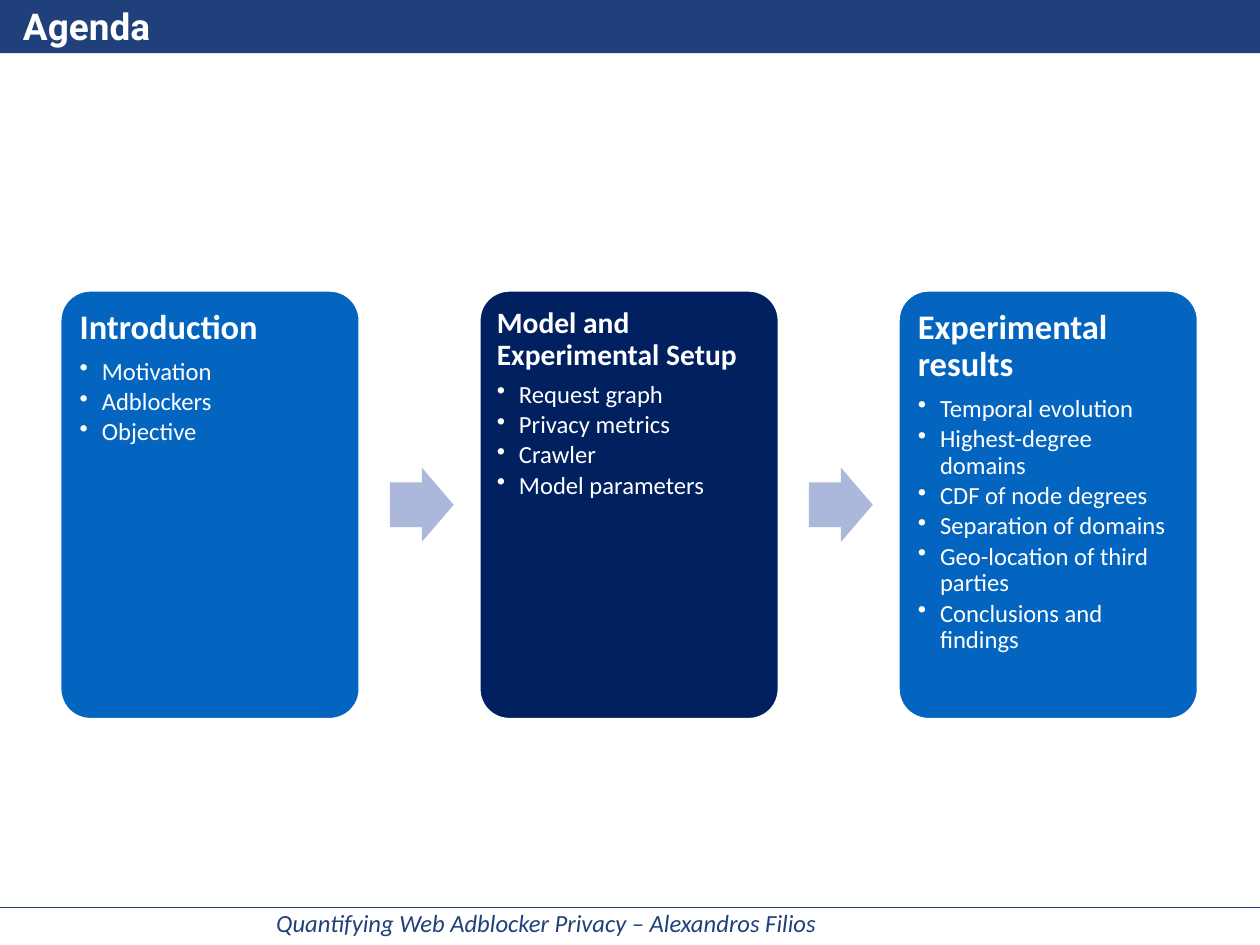
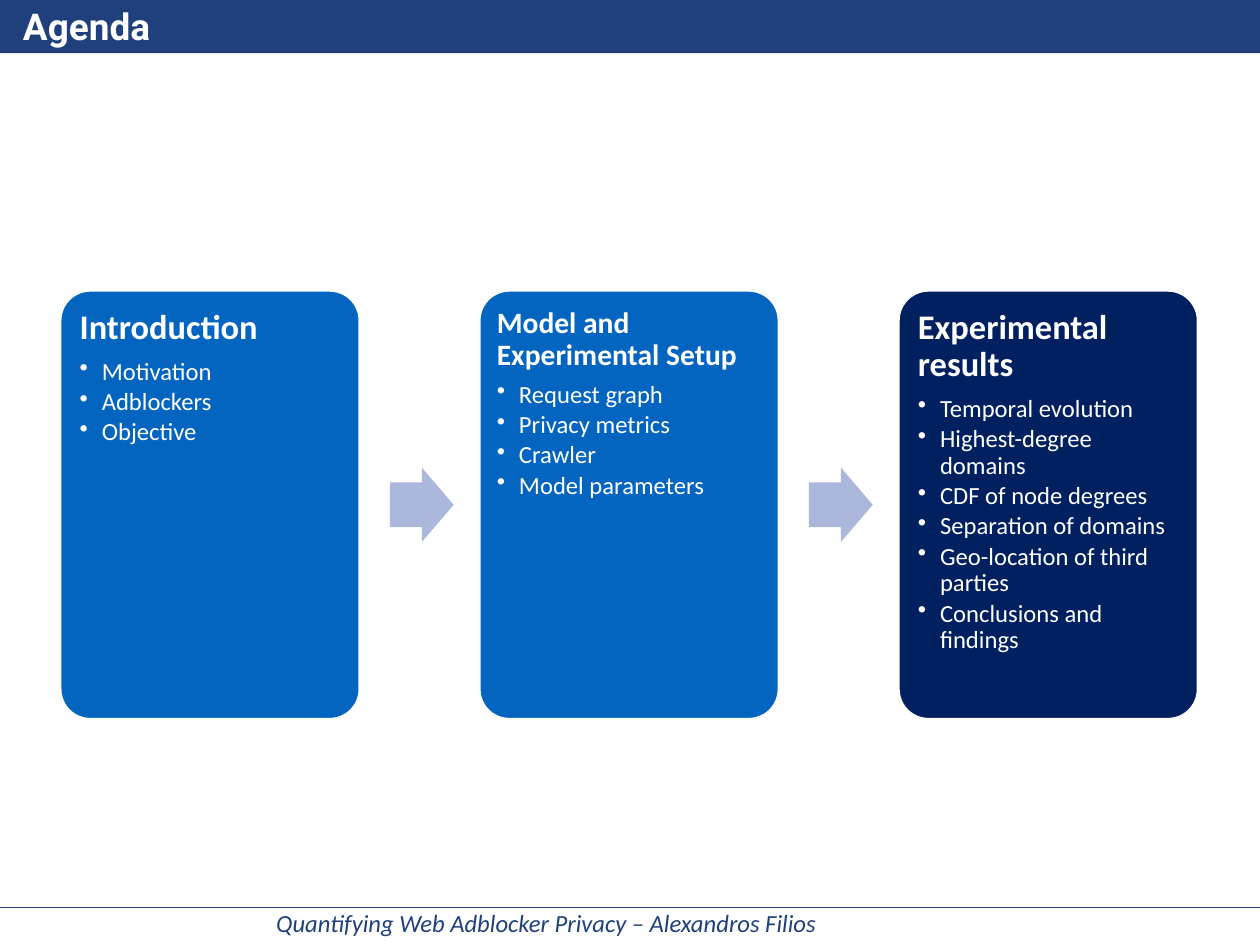
from dataclasses import dataclass

from lxml.etree import SubElement
from pptx import Presentation
from pptx.dml.color import RGBColor
from pptx.enum.shapes import MSO_CONNECTOR as Connector, MSO_SHAPE as Shape
from pptx.enum.text import MSO_ANCHOR as Anchor, PP_ALIGN as Align
from pptx.oxml.ns import qn
from pptx.util import Inches, Pt

WIDTH, HEIGHT = 14.22, 10.67
NAVY, BLUE, ACTIVE, ARROW, WHITE = "1F407A", "0365C0", "002060", "ABB8DC", "FFFFFF"
BODY_FONT, TITLE_FONT = "Calibri", "Roboto"
FOOTER = "Quantifying Web Adblocker Privacy – Alexandros Filios"

CARD_LEFT, CARD_TOP, CARD_W, CARD_H = 0.68, 3.28, 3.38, 4.84
PITCH = 4.73
ARROW_OFFSET, ARROW_W, ARROW_H = 3.72, 0.72, 0.84
BULLET_SIZE, BULLET_INDENT = 20, 0.25


@dataclass(frozen=True)
class Section:
    heading: str
    topics: tuple[str, ...]
    size: int = 28
    inset: float = 0.12


SECTIONS = (
    Section("Introduction", ("Motivation", "Adblockers", "Objective")),
    Section("Model and Experimental Setup",
            ("Request graph", "Privacy metrics", "Crawler", "Model parameters"),
            size=24, inset=0.1),
    Section("Experimental results",
            ("Temporal evolution", "Highest-degree domains", "CDF of node degrees",
             "Separation of domains", "Geo-location of third parties",
             "Conclusions and findings")),
)


def rgb(color: str) -> RGBColor:
    return RGBColor.from_string(color)


def style_font(p, font: str, size: float, color: str, bold=False, italic=False) -> None:
    for r in p.runs:
        r.font.name, r.font.size = font, Pt(size)
        r.font.bold, r.font.italic = bold, italic
        r.font.color.rgb = rgb(color)


def set_frame(tf, inset: float, anchor) -> None:
    tf.word_wrap = True
    tf.vertical_anchor = anchor
    tf.margin_left = tf.margin_right = tf.margin_top = tf.margin_bottom = Inches(inset)


def add_filled(s, kind, left: float, top: float, width: float, height: float, fill: str):
    sp = s.shapes.add_shape(kind, *map(Inches, (left, top, width, height)))
    sp.shadow.inherit = False
    sp.fill.solid()
    sp.fill.fore_color.rgb = rgb(fill)
    sp.line.fill.background()
    return sp


def add_label(s, left: float, top: float, width: float, height: float, text: str, align, **font):
    """Add one vertically centred line with the first-line indent of title and footer."""
    tf = s.shapes.add_textbox(*map(Inches, (left, top, width, height))).text_frame
    set_frame(tf, 0.06, Anchor.MIDDLE)
    tf.text = text
    p = tf.paragraphs[0]
    p.alignment = align
    p._p.get_or_add_pPr().set("indent", str(Inches(0.21)))
    style_font(p, **font)


def add_frame(s, title: str) -> None:
    """Draw the title band, footer rule and footer shared by all slides."""
    add_filled(s, Shape.RECTANGLE, -0.01, -0.02, WIDTH + 0.03, 0.62, NAVY)
    rule_y = Inches(0.96 * HEIGHT)
    rule = s.shapes.add_connector(Connector.STRAIGHT, 0, rule_y, Inches(WIDTH), rule_y)
    rule.line.color.rgb = rgb(NAVY)
    rule.line.width = Pt(1)
    SubElement(rule._element.spPr, qn("a:effectLst"))
    add_label(s, -0.03, 10.17, 12.18, 0.5, FOOTER, Align.CENTER,
              font=BODY_FONT, size=20, color=NAVY, italic=True)
    add_label(s, -0.01, -0.02, 12.14, 0.62, title, Align.LEFT,
              font=TITLE_FONT, size=30, color=WHITE, bold=True)


def add_bullet(p) -> None:
    pPr = p._p.get_or_add_pPr()
    pPr.set("marL", str(Inches(BULLET_INDENT)))
    pPr.set("indent", str(-Inches(BULLET_INDENT)))
    SubElement(pPr, qn("a:buChar")).set("char", "•")


def add_card(s, left: float, section: Section, fill: str) -> None:
    card = add_filled(s, Shape.ROUNDED_RECTANGLE, left, CARD_TOP, CARD_W, CARD_H, fill)
    card.adjustments[0] = 0.1
    card.line.color.rgb = rgb(WHITE)
    card.line.width = Pt(2)
    tf = card.text_frame
    set_frame(tf, section.inset, Anchor.TOP)
    tf.text = "\n".join((section.heading, *section.topics))
    for i, p in enumerate(tf.paragraphs):
        is_heading = i == 0
        size = section.size if is_heading else BULLET_SIZE
        p.alignment = Align.LEFT
        p.line_spacing = 0.9
        p.space_after = Pt(size * (0.35 if is_heading else 0.15))
        style_font(p, BODY_FONT, size, WHITE, bold=is_heading)
        if not is_heading:
            add_bullet(p)


def add_agenda(prs, active: int) -> None:
    """Add an agenda slide with the section at index active in the darker blue."""
    s = prs.slides.add_slide(prs.slide_layouts[6])
    add_frame(s, "Agenda")
    for i, section in enumerate(SECTIONS):
        left = CARD_LEFT + i * PITCH
        if i > 0:
            arrow = add_filled(s, Shape.RIGHT_ARROW, left - PITCH + ARROW_OFFSET,
                               CARD_TOP + (CARD_H - ARROW_H) / 2, ARROW_W, ARROW_H, ARROW)
            arrow.adjustments[0] = 0.6
        add_card(s, left, section, ACTIVE if i == active else BLUE)


def main() -> None:
    prs = Presentation()
    prs.slide_width, prs.slide_height = Inches(WIDTH), Inches(HEIGHT)
    for active in (1, 2):
        add_agenda(prs, active)
    prs.save("out.pptx")


if __name__ == "__main__":
    main()
